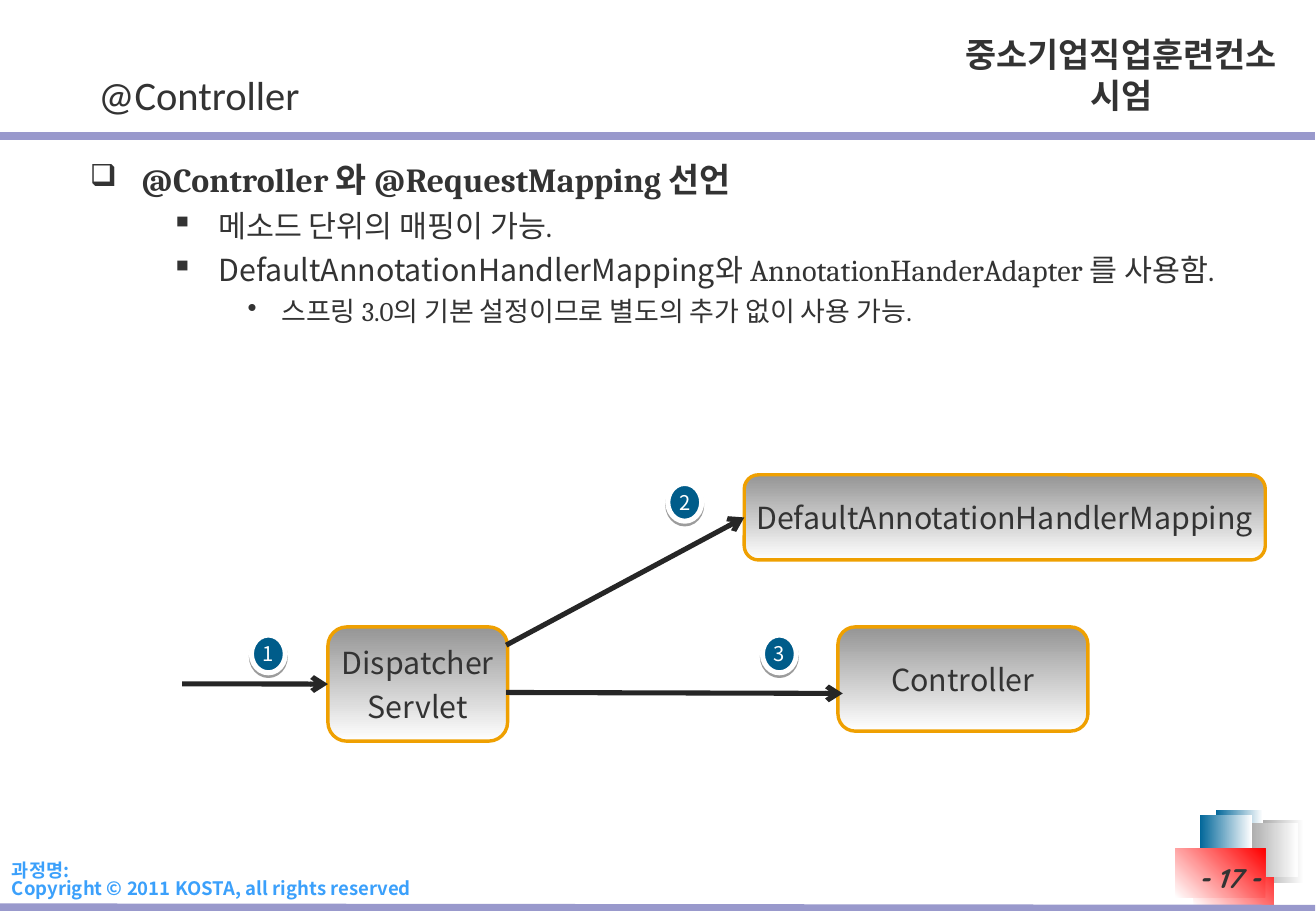
import dataclasses

import pptx
import pptx.dml.color
import pptx.enum.shapes
import pptx.enum.text
import pptx.oxml.ns
import pptx.util
from lxml import etree

Cm = pptx.util.Cm
Pt = pptx.util.Pt
qn = pptx.oxml.ns.qn
Shapes = pptx.enum.shapes.MSO_SHAPE
Align = pptx.enum.text.PP_ALIGN
Anchor = pptx.enum.text.MSO_ANCHOR


@dataclasses.dataclass(frozen=True)
class Theme:
    text: str = "333333"
    white: str = "FFFFFF"
    rule: str = "9999CC"
    footer: str = "3BA0FB"
    arrow: str = "262626"
    box_top: str = "959595"
    box_line: str = "EFA001"
    badge: str = "005C8A"
    gray: str = "969696"
    blue: str = "006699"
    red: str = "FF0000"
    shadow: str = "000000"
    sans: str = "Noto Sans CJK KR"
    serif: str = "Cambria"
    title_font: str = "Calibri"
    number_font: str = "Quicksand"
    title_size: int = 24
    heading_size: int = 20
    body_size: int = 18
    detail_size: int = 16
    badge_size: int = 12
    footer_size: int = 11


class SlideBuilder:
    def __init__(self, slide, theme):
        self.slide = slide
        self.theme = theme

    def color(self, value):
        return pptx.dml.color.RGBColor.from_string(value)

    def run(self, paragraph, text, size, font=None, color=None, bold=False, italic=False):
        run = paragraph.add_run()
        run.text = text
        run.font.size = Pt(size)
        run.font.name = font or self.theme.sans
        run.font.bold = bold
        run.font.italic = italic
        run.font.color.rgb = self.color(color or self.theme.text)
        east_asian = etree.Element(qn("a:ea"), typeface=self.theme.sans)
        run.font._element.find(qn("a:latin")).addnext(east_asian)

    def frame(self, shape, anchor, wrap, vertical_inset=0.15):
        frame = shape.text_frame
        frame.word_wrap = wrap
        frame.vertical_anchor = anchor
        frame.margin_left = frame.margin_right = Cm(0.28)
        frame.margin_top = frame.margin_bottom = Cm(vertical_inset)
        return frame

    def paragraphs(self, frame, count):
        return [frame.paragraphs[0]] + [frame.add_paragraph() for _ in range(count - 1)]

    def text(self, place, lines, size, align=Align.LEFT, anchor=Anchor.TOP, spacing=None, **style):
        shape = self.slide.shapes.add_textbox(*map(Cm, place))
        frame = self.frame(shape, anchor, True)
        for paragraph, line in zip(self.paragraphs(frame, len(lines)), lines):
            paragraph.alignment = align
            paragraph.line_spacing = spacing
            self.run(paragraph, line, size, **style)

    def bullet(self, paragraph, character, percent):
        properties = paragraph._p.get_or_add_pPr()
        color = etree.SubElement(properties, qn("a:buClr"))
        etree.SubElement(color, qn("a:srgbClr"), val=self.theme.text)
        etree.SubElement(properties, qn("a:buSzPct"), val=str(percent * 1000))
        etree.SubElement(properties, qn("a:buChar"), char=character)
        return properties

    def outline(self, place, items):
        levels = [
            ("❑", 90, 1.09, -1.09, 0, self.theme.heading_size),
            ("▪", 100, 2.69, -0.99, 4.5, self.theme.body_size),
            ("•", 100, 4.01, -0.71, 4, self.theme.detail_size),
        ]
        shape = self.slide.shapes.add_textbox(*map(Cm, place))
        frame = self.frame(shape, Anchor.TOP, True)
        for paragraph, (level, runs) in zip(self.paragraphs(frame, len(items)), items):
            character, percent, margin, indent, before, size = levels[level]
            properties = self.bullet(paragraph, character, percent)
            properties.set("marL", str(Cm(margin)))
            properties.set("indent", str(Cm(indent)))
            paragraph.level = level
            paragraph.space_before = Pt(before)
            for text, font in runs:
                self.run(paragraph, text, size, font, bold=level == 0)

    def shape(self, kind, place):
        shape = self.slide.shapes.add_shape(kind, *map(Cm, place))
        shape.shadow.inherit = False
        return shape

    def gradient(self, shape, start, end, angle):
        shape.fill.gradient()
        shape.fill.gradient_angle = angle
        for stop, value in zip(shape.fill.gradient_stops, (start, end)):
            stop.color.rgb = self.color(value)

    def square(self, place, start, end, angle):
        shape = self.shape(Shapes.RECTANGLE, place)
        self.gradient(shape, start, end, angle)
        shape.line.fill.background()

    def label(self, shape, lines, size, color, before=0):
        frame = self.frame(shape, Anchor.MIDDLE, False, 0.13)
        for index, paragraph in enumerate(self.paragraphs(frame, len(lines))):
            paragraph.alignment = Align.CENTER
            paragraph.space_before = Pt(before if index else 0)
            self.run(paragraph, lines[index], size, color=color)

    def box(self, place, lines):
        shape = self.shape(Shapes.ROUNDED_RECTANGLE, place)
        self.gradient(shape, self.theme.box_top, self.theme.white, 270)
        shape.line.color.rgb = self.color(self.theme.box_line)
        shape.line.width = Pt(2)
        self.label(shape, lines, self.theme.body_size, self.theme.text, 4.5)
        return shape

    def badge(self, left, top, number):
        shape = self.shape(Shapes.OVAL, (left, top, 0.71, 0.79))
        shape.fill.solid()
        shape.fill.fore_color.rgb = self.color(self.theme.badge)
        shape.line.color.rgb = self.color(self.theme.white)
        shape.line.width = Pt(3)
        effects = shape.element.spPr.find(qn("a:effectLst"))
        shadow = etree.SubElement(
            effects, qn("a:outerShdw"), blurRad="0", dist=str(Pt(1.6)), dir="5400000", rotWithShape="0"
        )
        color = etree.SubElement(shadow, qn("a:srgbClr"), val=self.theme.shadow)
        etree.SubElement(color, qn("a:alpha"), val="38000")
        self.label(shape, [str(number)], self.theme.badge_size, self.theme.white)

    def line(self, points, color, width):
        straight = pptx.enum.shapes.MSO_CONNECTOR.STRAIGHT
        connector = self.slide.shapes.add_connector(straight, *map(Cm, points))
        connector.line.color.rgb = self.color(color)
        connector.line.width = Pt(width)
        etree.SubElement(connector.element.spPr, qn("a:effectLst"))
        return connector

    def arrow(self, points, target=None):
        connector = self.line(points, self.theme.arrow, 3)
        outline = connector.element.spPr.find(qn("a:ln"))
        etree.SubElement(outline, qn("a:tailEnd"), type="arrow")
        if target is not None:
            connector.end_connect(target, 1)


def main():
    presentation = pptx.Presentation()
    presentation.slide_width = Cm(27.53)
    presentation.slide_height = Cm(19.05)
    theme = Theme()
    builder = SlideBuilder(presentation.slides.add_slide(presentation.slide_layouts[6]), theme)

    gray = (theme.gray, theme.white, 0)
    blue = (theme.blue, theme.white, 0)
    red = (theme.white, theme.red, 45)
    for place, colors in [
        ((26.16, 17.15, 1.12, 1.32), gray),
        ((25.43, 16.94, 0.99, 1.32), blue),
        ((24.97, 17.78, 1.68, 1.17), red),
        ((25.91, 17.22, 1.24, 1.12), gray),
        ((25.1, 17.04, 1.09, 1.12), blue),
        ((24.59, 17.75, 1.88, 1.02), red),
    ]:
        builder.square(place, *colors)
    for start, end in [(2.84, 2.84), (18.97, 19)]:
        builder.line((0, start, 27.51, end), theme.rule, 4.5)

    builder.text((-0.03, 17.91, 12.27, 1.04), ["과정명:", "Copyright © 2011 KOSTA, all rights reserved"],
                 theme.footer_size, spacing=0.8, color=theme.footer, bold=True)
    builder.text((19.81, 0.56, 7.29, 1.96), ["중소기업직업훈련컨소시엄"],
                 theme.heading_size, align=Align.CENTER, bold=True)
    builder.text((1.78, 1.19, 24.99, 1.55), ["@Controller"],
                 theme.title_size, anchor=Anchor.MIDDLE, font=theme.title_font)
    builder.outline((1.6, 3.18, 24.92, 4.55), [
        (0, [("@Controller 와 @RequestMapping 선언", theme.serif)]),
        (1, [("메소드 단위의 매핑이 가능.", theme.serif)]),
        (1, [("DefaultAnnotationHandlerMapping와 ", theme.sans),
             ("AnnotationHanderAdapter 를 사용함.", theme.serif)]),
        (2, [("스프링 3.0의 기본 설정이므로 별도의 추가 없이 사용 가능.", theme.serif)]),
    ])
    builder.text((24.26, 17.86, 2.92, 1.02), ["- 17 -"], theme.detail_size,
                 align=Align.CENTER, font=theme.number_font, bold=True, italic=True)

    dispatcher = builder.box((6.86, 13.11, 3.76, 2.39), ["Dispatcher", "Servlet"])
    mapping = builder.box((15.57, 9.93, 10.9, 1.78), ["DefaultAnnotationHandlerMapping"])
    builder.box((17.53, 13.11, 5.23, 2.18), ["Controller"])
    builder.arrow((10.59, 13.49, 15.57, 10.82), mapping)
    builder.arrow((3.81, 14.3, 6.86, 14.3), dispatcher)
    builder.arrow((10.59, 14.48, 17.63, 14.5))
    for number, (left, top) in enumerate([(5.26, 13.28), (13.97, 10.11), (15.95, 13.28)], 1):
        builder.badge(left, top, number)

    presentation.save("out.pptx")


if __name__ == "__main__":
    main()
